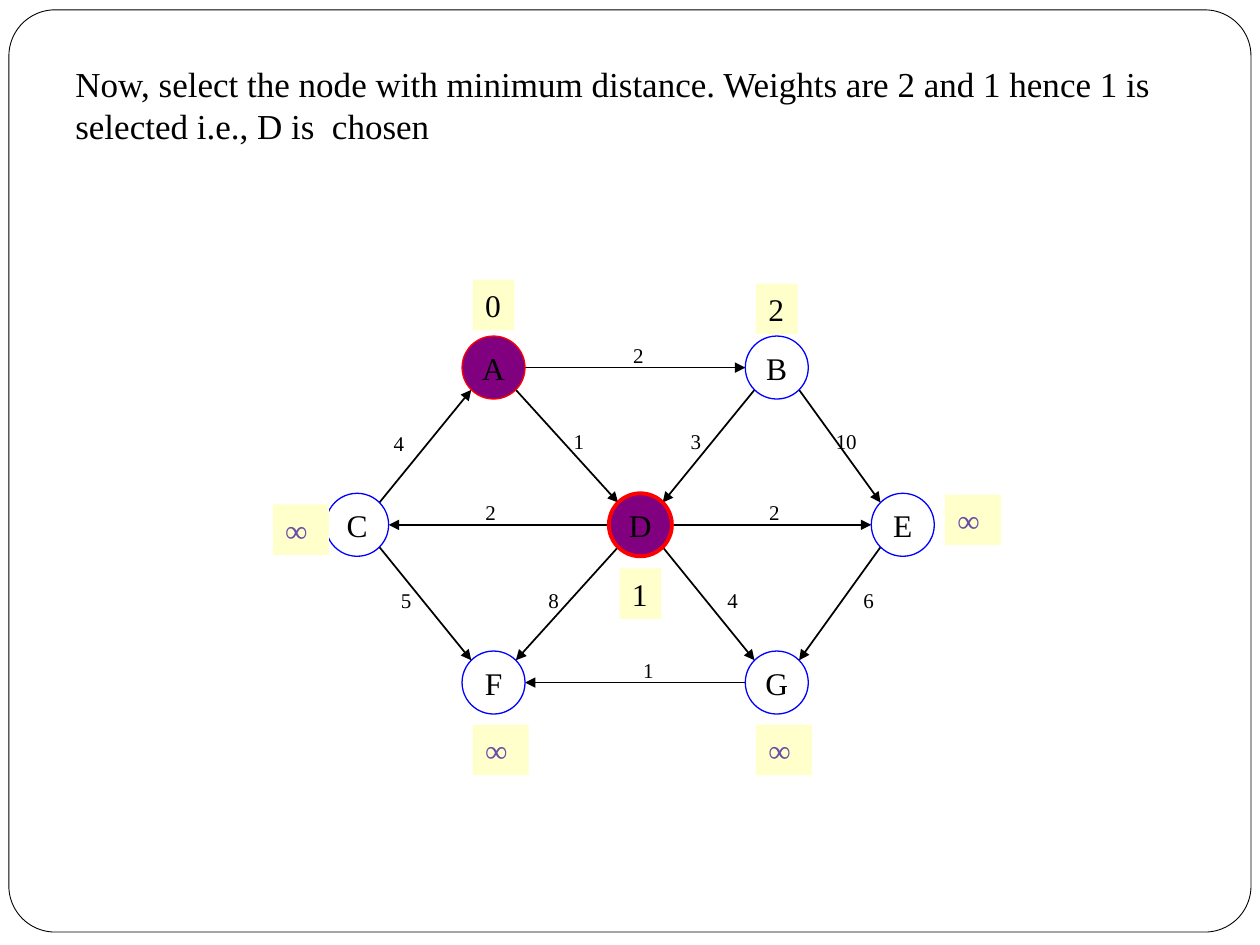
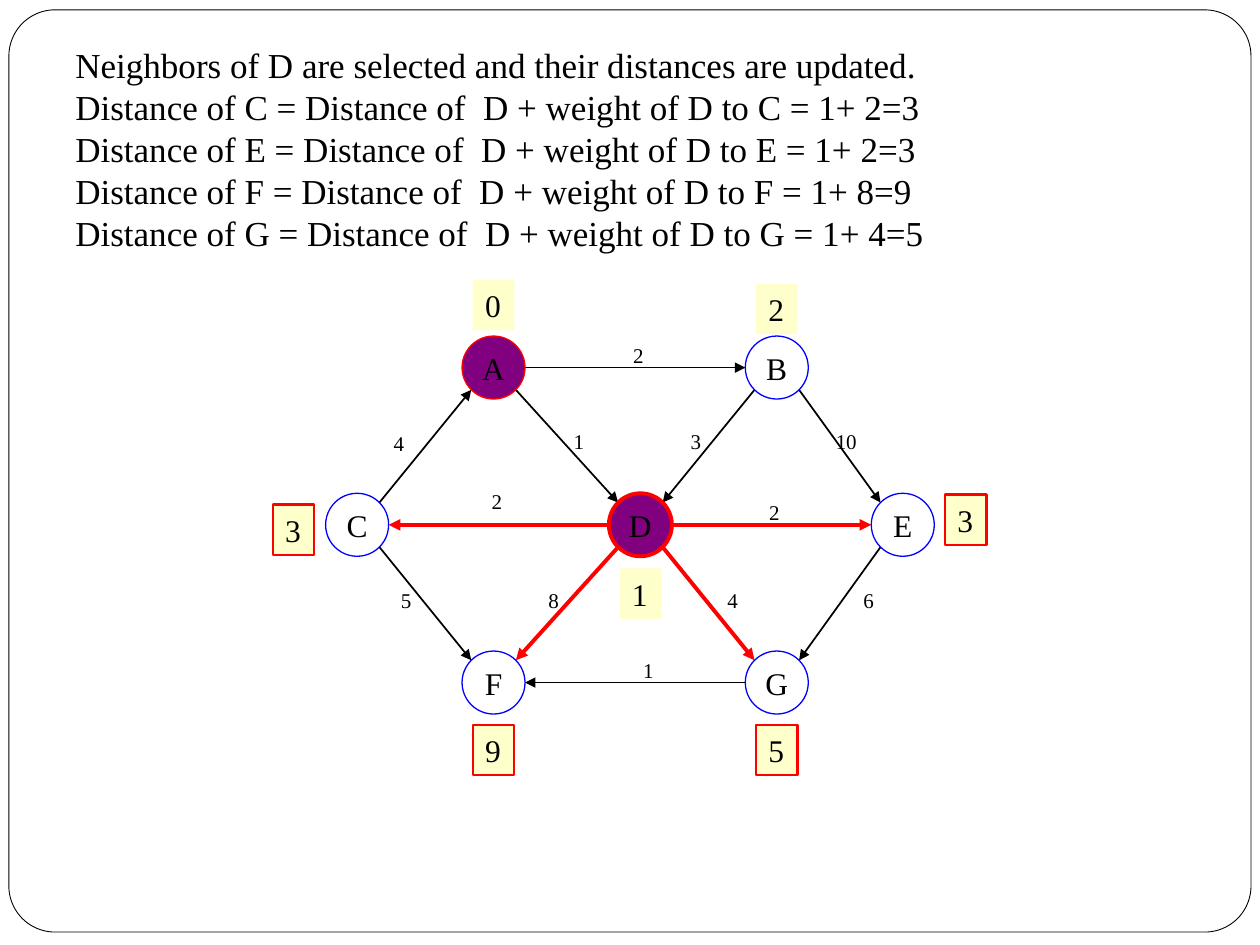
from math import sqrt

from lxml import etree
from pptx import Presentation
from pptx.dml.color import RGBColor
from pptx.enum.shapes import MSO_CONNECTOR, MSO_SHAPE
from pptx.enum.text import MSO_ANCHOR, PP_ALIGN
from pptx.oxml.ns import qn
from pptx.util import Cm, Pt

ELLIPSE, RECTANGLE = MSO_SHAPE.OVAL, MSO_SHAPE.RECTANGLE
ROUNDED = MSO_SHAPE.ROUNDED_RECTANGLE
STRAIGHT = MSO_CONNECTOR.STRAIGHT
TOP, MIDDLE = MSO_ANCHOR.TOP, MSO_ANCHOR.MIDDLE
LEFT, CENTER = PP_ALIGN.LEFT, PP_ALIGN.CENTER

FONT = "Times New Roman"
BLACK, RED, BLUE = "000000", "FF0000", "0000FF"
PURPLE, CREAM, VIOLET = "800080", "FFFFCC", "674EA7"

# Graph geometry in centimetres: node centres, and a shared diameter
DIAMETER = 1.27
RADIUS = DIAMETER / 2
ROW_1, ROW_2, ROW_3 = 7.41, 10.58, 13.76
NODES = {
    "A": (9.95, ROW_1), "B": (15.66, ROW_1),
    "C": (7.2, ROW_2), "D": (12.91, ROW_2), "E": (18.2, ROW_2),
    "F": (9.95, ROW_3), "G": (15.66, ROW_3),
}
# Edge: (weight, centre of its label)
EDGES = {
    "AB": (2, (12.87, 7.15)), "AD": (1, (11.67, 8.89)),
    "BD": (3, (14.03, 8.89)), "BE": (10, (17.06, 8.89)),
    "CA": (4, (8.04, 8.93)), "CF": (5, (8.19, 12.1)),
    "DC": (2, (9.89, 10.33)), "DE": (2, (15.61, 10.33)),
    "DF": (8, (11.16, 12.1)), "DG": (4, (14.77, 12.1)),
    "EG": (6, (17.51, 12.1)), "GF": (1, (13.07, 13.5)),
}
# Top left corner of each distance tag
TAGS = {
    "A": (9.53, 5.64), "B": (15.24, 5.72), "C": (5.5, 10.17),
    "D": (12.49, 11.46), "E": (19.05, 9.97),
    "F": (9.53, 14.61), "G": (15.24, 14.61),
}
VISITED_LINES = {"A": 0.75, "D": 2.25}


def color(hex_string):
    return RGBColor.from_string(hex_string)


def sign(number):
    return (number > 0) - (number < 0)


class Deck:
    def __init__(self):
        self.presentation = Presentation()
        self.presentation.slide_width = Cm(25.4)
        self.presentation.slide_height = Cm(19.05)
        self.slide = None

    def new_slide(self):
        layout = self.presentation.slide_layouts[6]
        self.slide = self.presentation.slides.add_slide(layout)
        frame = self.shape(ROUNDED, (0.18, 0.2, 25.04, 18.59), line=BLACK, width=0.5)
        frame.adjustments[0] = 0.05

    def shape(self, kind, box, fill=None, line=None, width=0.75):
        shape = self.slide.shapes.add_shape(kind, *map(Cm, box))
        shape.shadow.inherit = False
        if fill:
            shape.fill.solid()
            shape.fill.fore_color.rgb = color(fill)
        else:
            shape.fill.background()
        if line:
            shape.line.color.rgb = color(line)
            shape.line.width = Pt(width)
        else:
            shape.line.fill.background()
        return shape

    def set_text(self, shape, lines, size, ink=BLACK, align=LEFT, anchor=TOP, wrap=True):
        frame = shape.text_frame
        frame.word_wrap = wrap
        frame.vertical_anchor = anchor
        for index, line in enumerate(lines):
            paragraph = frame.add_paragraph() if index else frame.paragraphs[0]
            paragraph.text = line
            paragraph.alignment = align
            paragraph.font.name = FONT
            paragraph.font.size = Pt(size)
            paragraph.font.color.rgb = color(ink)

    def text(self, box, lines, size, **style):
        shape = self.slide.shapes.add_textbox(*map(Cm, box))
        self.set_text(shape, lines, size, **style)

    def heading(self, top, height, lines):
        self.text((1.27, top, 22.86, height), lines, 20)

    def node(self, name):
        x, y = NODES[name]
        visited = name in VISITED_LINES
        shape = self.shape(
            ELLIPSE, (x - RADIUS, y - RADIUS, DIAMETER, DIAMETER),
            fill=PURPLE if visited else None,
            line=RED if visited else BLUE, width=VISITED_LINES.get(name, 0.75))
        self.set_text(shape, [name], 18, align=CENTER, anchor=MIDDLE, wrap=False)

    def edge(self, start, end, ink, width):
        (x1, y1), (x2, y2) = NODES[start], NODES[end]
        # Arrows touch the circles at the side or at 45 degrees
        reach = RADIUS / sqrt(2) if y1 != y2 else RADIUS
        dx, dy = reach * sign(x2 - x1), reach * sign(y2 - y1)
        ends = (x1 + dx, y1 + dy, x2 - dx, y2 - dy)
        arrow = self.slide.shapes.add_connector(STRAIGHT, *map(Cm, ends))
        arrow.line.color.rgb = color(ink)
        arrow.line.width = Pt(width)
        line = arrow._element.spPr.find(qn("a:ln"))
        etree.SubElement(line, qn("a:tailEnd"), type="triangle")
        etree.SubElement(arrow._element.spPr, qn("a:effectLst"))

    def weight(self, value, center):
        x, y = center
        width = 0.94 if value > 9 else 0.74
        self.text((x - width / 2, y - 0.38, width, 0.76), [str(value)], 12,
                  align=CENTER, anchor=MIDDLE, wrap=False)

    def tag(self, name, value, updated):
        infinite = value == "∞"
        box = (*TAGS[name], 1.13 if infinite else 0.84, 1.02)
        shape = self.shape(RECTANGLE, box, fill=CREAM,
                           line=RED if updated else None, width=1.25)
        shape.text_frame.margin_right = 0
        self.set_text(shape, [value], 18, ink=VIOLET if infinite else BLACK)

    def graph(self, distances, updated="", moved_labels=None):
        for start, end in EDGES:
            relaxed = start == "D" and end in updated
            self.edge(start, end, RED if relaxed else BLACK, 2.25 if relaxed else 1)
        for name in NODES:
            self.node(name)
        for edge, (value, center) in EDGES.items():
            self.weight(value, (moved_labels or {}).get(edge, center))
        for name, value in zip(NODES, distances):
            self.tag(name, value, name in updated)


def main():
    deck = Deck()

    # Choosing D
    deck.new_slide()
    deck.heading(1.14, 2.29, [
        "Now, select the node with minimum distance. Weights are 2 and 1 "
        "hence 1 is selected i.e., D is  chosen"])
    deck.graph("02∞1∞∞∞")

    # Updating the neighbours of D
    neighbors = "CEFG"
    deck.new_slide()
    lines = ["Neighbors of D are selected and their distances are updated."]
    for name in neighbors:
        value = EDGES["D" + name][0]
        lines.append(f"Distance of {name} = Distance of  D + weight of D to {name}"
                     f" = 1+ {value}={1 + value}")
    deck.heading(0.76, 4.65, lines)
    deck.graph("0231395", neighbors, {"DC": (10.02, 10.11)})

    deck.presentation.save("out.pptx")


if __name__ == "__main__":
    main()
